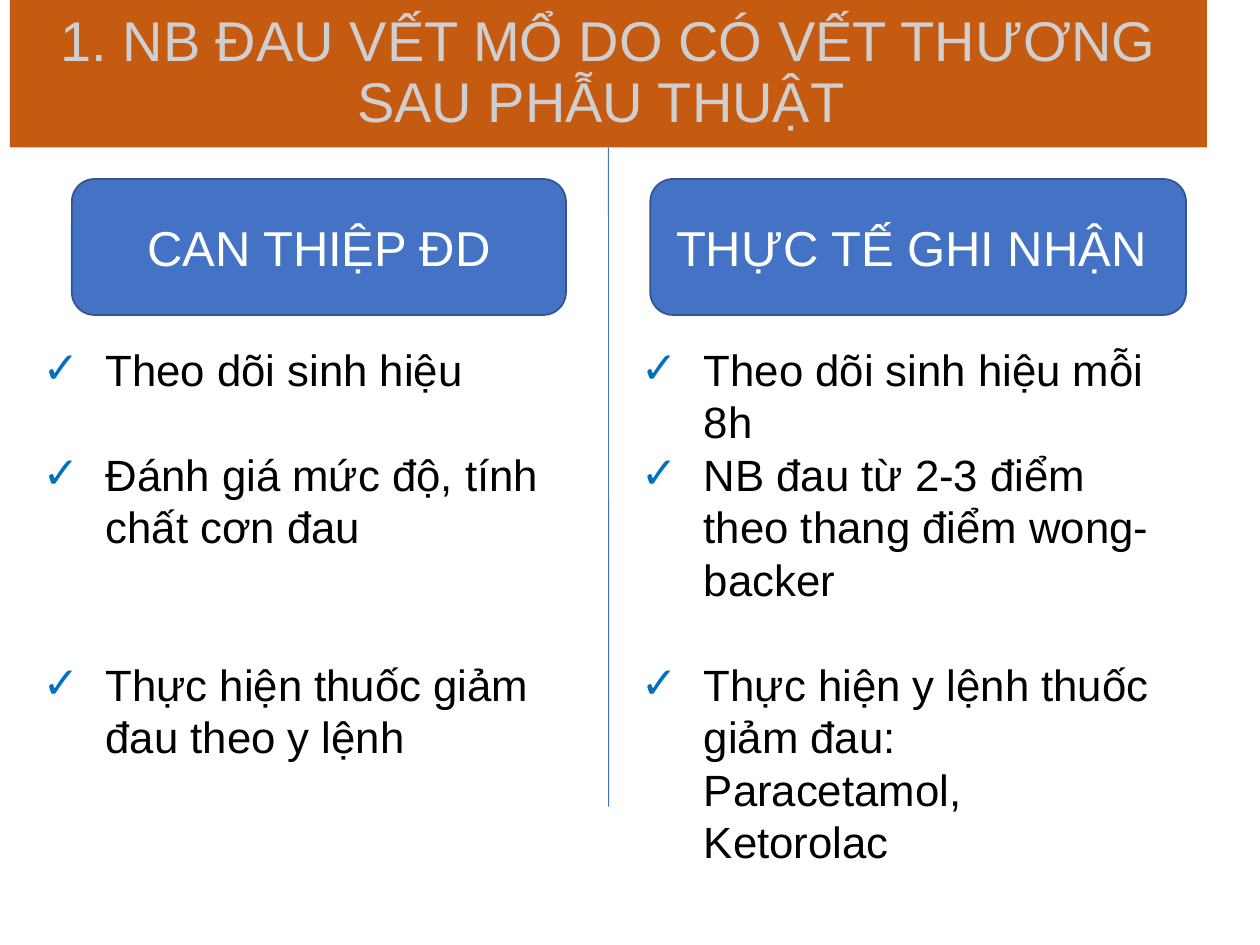
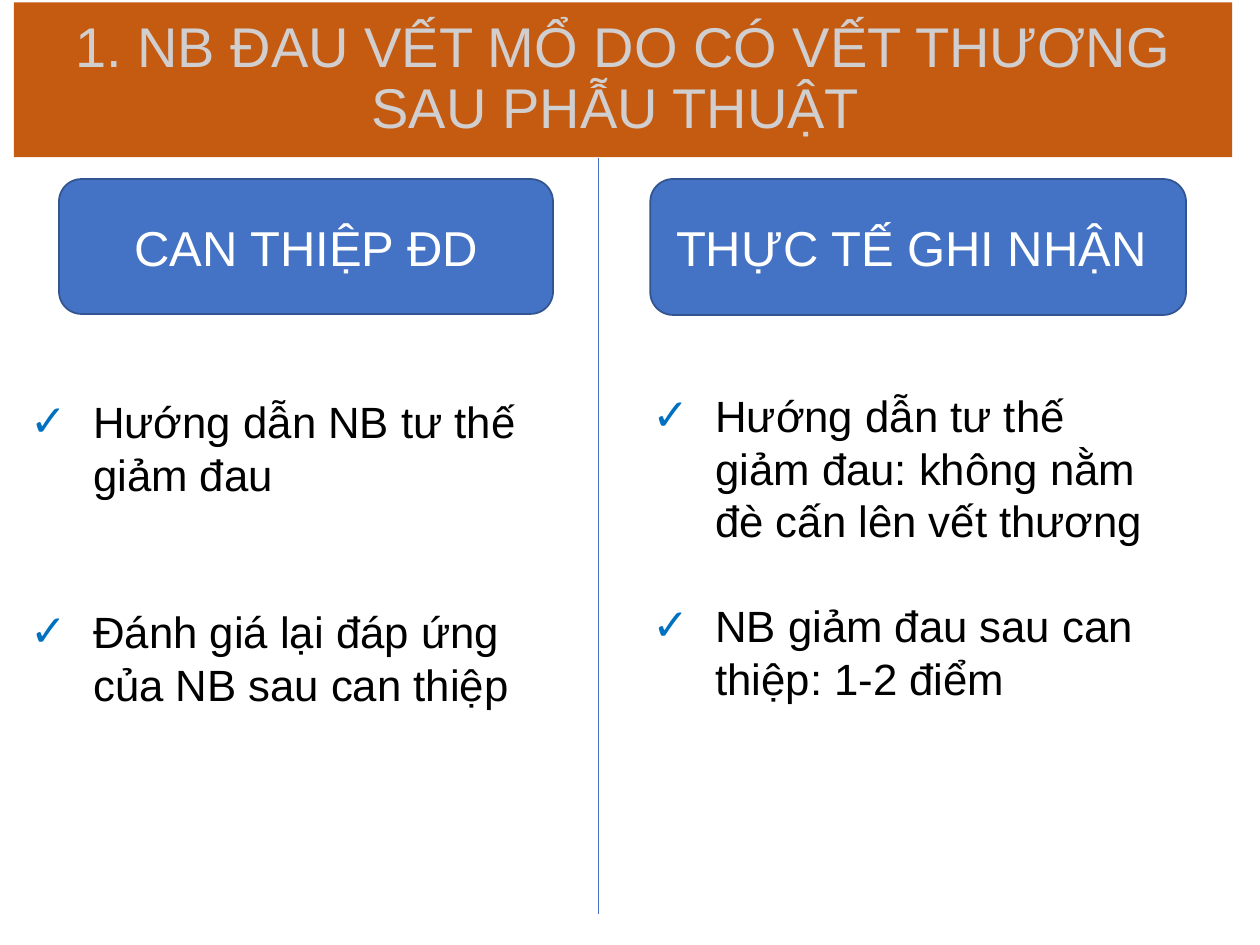
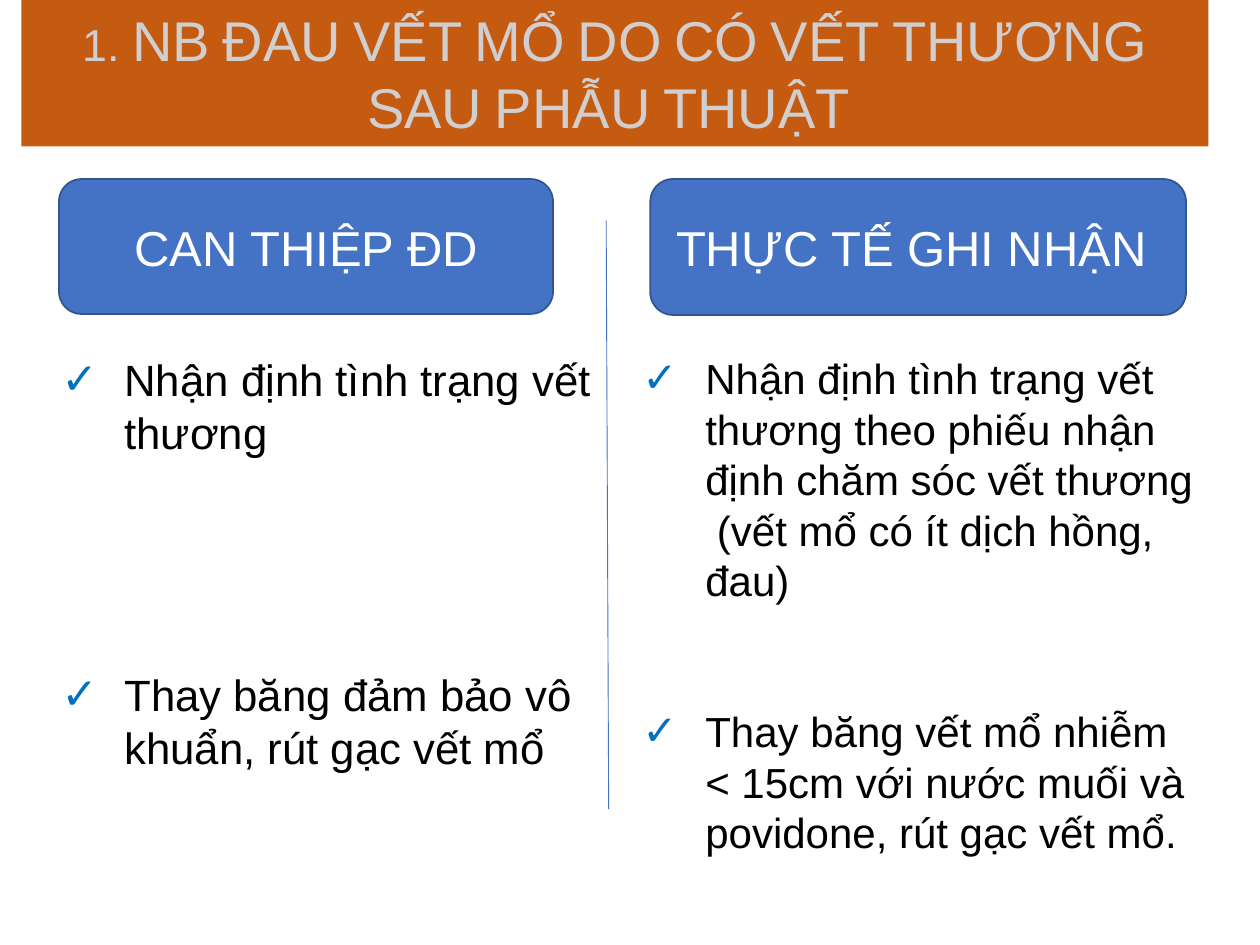
from lxml import etree
from pptx import Presentation
from pptx.dml.color import RGBColor
from pptx.enum import shapes, text
from pptx.oxml import ns
from pptx.util import Cm, Pt

HUES = {"band": "C55A11", "title": "D0CECE", "blue": "4472C4", "edge": "325491",
        "tick": "0070C0", "ink": "000000", "white": "FFFFFF"}
FONT = "Arial"
TITLE = "1. NB ĐAU VẾT MỔ DO CÓ VẾT THƯƠNG SAU PHẪU THUẬT "
LEFT, RIGHT = "CAN THIỆP ĐD", "THỰC TẾ GHI NHẬN "

# Boxes are left, top, width, height in cm.
# Each list item is (empty lines above, text).
SLIDES = [
    {"band": (0.2, 0, 24.13, 2.97), "small": False, "join": True,
     "rule": (12.27, 2.97, 12.27, 16.26),
     "head": (1.45, 3.61, 9.96, 2.74),
     "lists": [
         ((0.61, 6.78, 11.23, 9.88), 25, [
             (0, "Theo dõi sinh hiệu"),
             (1, "Đánh giá mức độ, tính chất cơn đau"),
             (2, "Thực hiện thuốc giảm đau theo y lệnh")]),
         ((12.67, 6.78, 10.82, 10.95), 25, [
             (0, "Theo dõi sinh hiệu mỗi 8h"),
             (0, "NB đau từ 2-3 điểm theo thang điểm wong-backer"),
             (1, "Thực hiện y lệnh thuốc giảm đau: Paracetamol, Ketorolac")])]},
    {"band": (0.28, 0.05, 24.56, 3.12), "small": False, "join": False,
     "rule": (12.07, 3.18, 12.07, 18.42),
     "head": (1.19, 3.61, 9.96, 2.72),
     "lists": [
         ((0.36, 7.84, 11.23, 7.75), 25, [
             (0, "Hướng dẫn NB tư thế giảm đau"),
             (2, "Đánh giá lại đáp ứng của NB sau can thiệp")]),
         ((12.9, 7.72, 10.59, 8.81), 25, [
             (0, "Hướng dẫn tư thế giảm đau: không nằm đè cấn lên vết thương"),
             (1, "NB giảm đau sau can thiệp: 1-2 điểm")])]},
    {"band": (0.43, 0, 23.93, 2.95), "small": True, "join": False,
     "rule": (12.22, 4.45, 12.27, 16.31),
     "head": (1.19, 3.61, 9.96, 2.72),
     "lists": [
         ((0.99, 6.99, 11.23, 8.8), 25, [
             (0, "Nhận định tình trạng vết thương"),
             (4, "Thay băng đảm bảo vô khuẩn, rút gạc vết mổ")]),
         ((12.7, 6.99, 11.63, 10.4), 24, [
             (0, "Nhận định tình trạng vết thương theo phiếu nhận định "
                 "chăm sóc vết thương  (vết mổ có ít dịch hồng, đau)"),
             (2, "Thay băng vết mổ nhiễm < 15cm với nước muối và "
                 "povidone, rút gạc vết mổ.")])]},
]
RIGHT_HEAD = (13.11, 3.61, 10.8, 2.74)


def hue(name):
    return RGBColor.from_string(HUES[name])


def cms(box):
    return [Cm(v) for v in box]


def paint(fill, name):
    fill.solid()
    fill.fore_color.rgb = hue(name)


def style(par, size, name):
    par.font.name, par.font.size = FONT, Pt(size)
    par.font.color.rgb = hue(name)


def add_band(slide, box, small):
    band = slide.shapes.title
    band.left, band.top, band.width, band.height = cms(box)
    paint(band.fill, "band")
    frame = band.text_frame
    frame.text = TITLE
    frame.word_wrap = True
    frame.auto_size = text.MSO_AUTO_SIZE.NONE
    frame.vertical_anchor = text.MSO_ANCHOR.BOTTOM if small else text.MSO_ANCHOR.MIDDLE
    par = frame.paragraphs[0]
    par.alignment = text.PP_ALIGN.CENTER
    par.line_spacing = 1.0 if small else 0.9
    style(par, 32, "title")
    if small:
        par.runs[0].font._element.set("cap", "small")
    return band


def add_rule(slide, ends, band=None):
    rule = slide.shapes.add_connector(shapes.MSO_CONNECTOR.STRAIGHT, *cms(ends))
    if band is not None:
        rule.begin_connect(band, 2)
    rule.line.color.rgb = hue("blue")
    rule.line.width = Pt(0.5)
    etree.SubElement(rule._element.spPr, ns.qn("a:effectLst"))


def add_head(slide, box, label):
    head = slide.shapes.add_shape(shapes.MSO_SHAPE.ROUNDED_RECTANGLE, *cms(box))
    head.shadow.inherit = False
    paint(head.fill, "blue")
    head.line.color.rgb = hue("edge")
    head.line.width = Pt(1)
    frame = head.text_frame
    frame.text = label
    frame.vertical_anchor = text.MSO_ANCHOR.MIDDLE
    frame.paragraphs[0].alignment = text.PP_ALIGN.CENTER
    style(frame.paragraphs[0], 28, "white")


def add_tick(par):
    props = par._p.get_or_add_pPr()
    props.set("marL", str(Cm(1.27)))
    props.set("indent", str(-Cm(1.27)))
    tint = etree.SubElement(props, ns.qn("a:buClr"))
    etree.SubElement(tint, ns.qn("a:srgbClr"), val=HUES["tick"])
    etree.SubElement(props, ns.qn("a:buFont"), typeface=FONT)
    etree.SubElement(props, ns.qn("a:buChar"), char="✓")


def add_list(slide, box, size, items):
    frame = slide.shapes.add_textbox(*cms(box)).text_frame
    frame.word_wrap = True
    for i, (gap, words) in enumerate(items):
        par = frame.add_paragraph() if i else frame.paragraphs[0]
        par.text = words
        add_tick(par)
        if gap:
            par.space_before = Pt(gap * size * 1.2)
        style(par, size, "ink")


def main():
    deck = Presentation()
    deck.slide_width, deck.slide_height = Cm(25.4), Cm(19.05)
    for page in SLIDES:
        slide = deck.slides.add_slide(deck.slide_layouts[5])
        band = add_band(slide, page["band"], page["small"])
        for part in page["lists"]:
            add_list(slide, *part)
        add_rule(slide, page["rule"], band if page["join"] else None)
        add_head(slide, page["head"], LEFT)
        add_head(slide, RIGHT_HEAD, RIGHT)
    deck.save("out.pptx")


if __name__ == "__main__":
    main()
